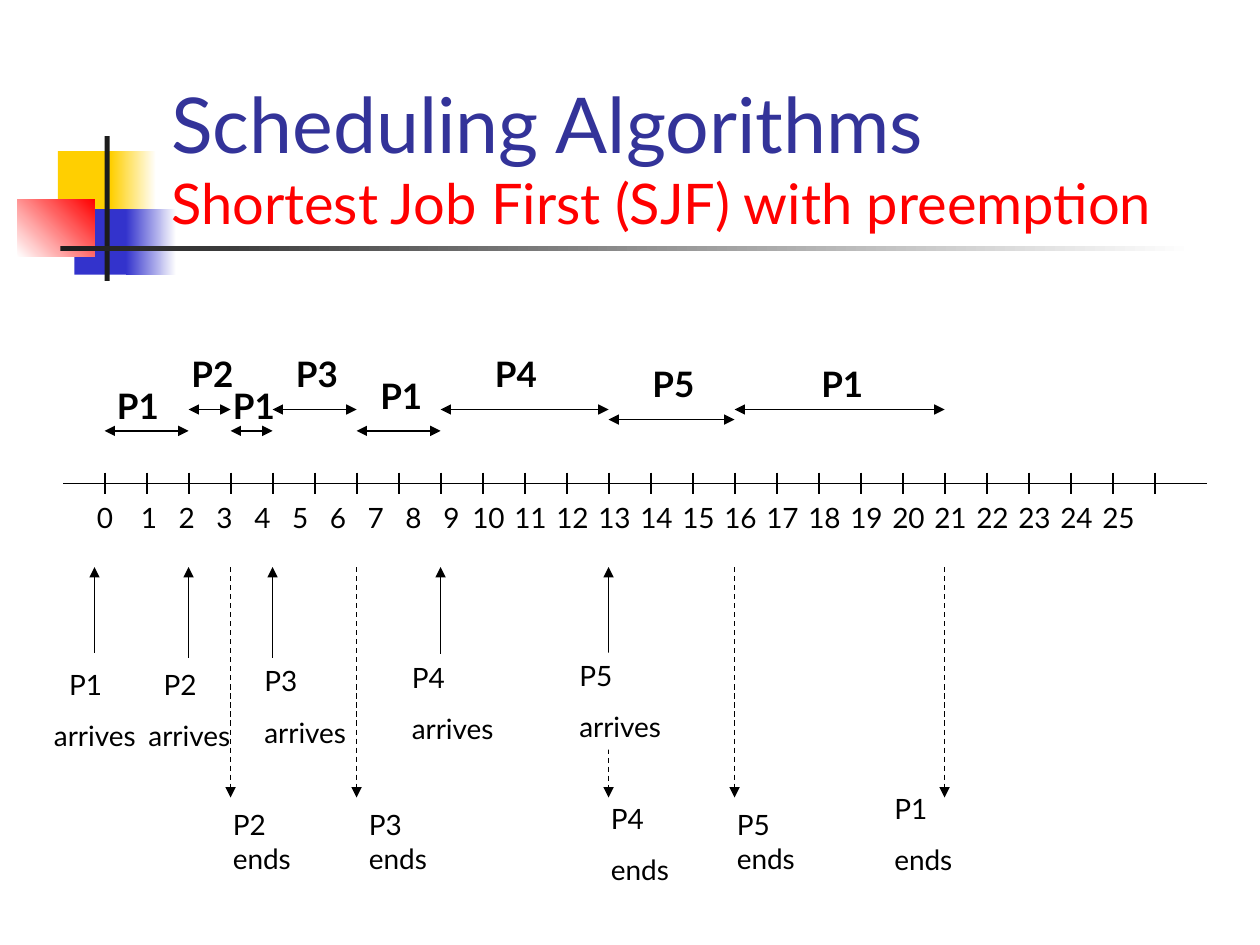
from lxml import etree
from pptx import Presentation
from pptx.dml.color import RGBColor
from pptx.enum.dml import MSO_LINE_DASH_STYLE as DASH
from pptx.enum.shapes import MSO_CONNECTOR as CONNECTOR, MSO_SHAPE as SHAPE
from pptx.enum.text import MSO_ANCHOR as ANCHOR
from pptx.oxml.ns import qn
from pptx.util import Inches, Pt

FONT = "Lato"
BLACK, WHITE = "000000", "FFFFFF"
YELLOW, BLUE, RED, DARK = "FFCF01", "3333CC", "FF0000", "1C1C1C"
TITLE_BLUE = "333399"
UNIT = 1 / 3


def color(value):
    return RGBColor.from_string(value)


def format_runs(paragraph, size, fill=BLACK, bold=False):
    for run in paragraph.runs:
        run.font.name = FONT
        run.font.size = Pt(size)
        run.font.bold = bold
        run.font.color.rgb = color(fill)


def add_text(slide, box, text, size, bold=False, space_before=10):
    shape = slide.shapes.add_textbox(*map(Inches, box))
    frame = shape.text_frame
    frame.word_wrap = True
    frame.text = text
    for paragraph in frame.paragraphs:
        paragraph.space_before = Pt(space_before)
        format_runs(paragraph, size, bold=bold)
    return shape


def add_line(slide, start, end, head=False, tail=False, dashed=False):
    points = map(Inches, (*start, *end))
    line = slide.shapes.add_connector(CONNECTOR.STRAIGHT, *points)
    line.line.color.rgb = color(BLACK)
    line.line.width = Pt(0.75)
    if dashed:
        line.line.dash_style = DASH.DASH
    outline = line.line._get_or_add_ln()
    for tag, wanted in (("a:headEnd", head), ("a:tailEnd", tail)):
        if wanted:
            etree.SubElement(outline, qn(tag), type="triangle")
    etree.SubElement(line._element.spPr, qn("a:effectLst"))


def add_block(slide, box, start, end=None, angle=0):
    shape = slide.shapes.add_shape(SHAPE.RECTANGLE, *map(Inches, box))
    shape.shadow.inherit = False
    shape.line.fill.background()
    if end is None:
        shape.fill.solid()
        shape.fill.fore_color.rgb = color(start)
        return
    shape.fill.gradient()
    shape.fill.gradient_angle = angle
    for stop, value in zip(shape.fill.gradient_stops, (start, end)):
        stop.color.rgb = color(value)


def add_ornament(slide, left, top, width):
    add_block(slide, (left + 0.32, top + 0.12, 0.48, 0.52), YELLOW)
    add_block(slide, (left + 0.74, top + 0.12, 0.36, 0.52), YELLOW, WHITE)
    add_block(slide, (left + 0.45, top + 0.58, 0.46, 0.52), BLUE)
    add_block(slide, (left + 0.86, top + 0.58, 0.4, 0.52), BLUE, WHITE)
    add_block(slide, (left, top + 0.5, 0.61, 0.46), WHITE, RED, 45)
    add_block(slide, (left + 0.69, top, 0.04, 1.15), DARK)
    add_block(slide, (left + 0.34, top + 0.87, width - 0.34, 0.04), DARK, WHITE)


def add_title(slide, box):
    shape = add_text(slide, box, "Scheduling Algorithms\vShortest Job First (SJF) with preemption",
                     44, space_before=0)
    shape.text_frame.vertical_anchor = ANCHOR.BOTTOM
    heading, subtitle = shape.text_frame.paragraphs[0].runs
    heading.font.color.rgb = color(TITLE_BLUE)
    subtitle.font.size = Pt(32)
    subtitle.font.color.rgb = color(RED)


def add_axis(slide, left, top, width, height):
    middle = top + height / 2
    add_line(slide, (left, middle), (left + width, middle))
    for tick in range(26):
        x = left + (tick + 1) * UNIT
        add_line(slide, (x, top), (x, top + height))
    numbers = add_text(slide, (left + 0.17, top + height, 8.83, 0.37),
                       "\t".join(map(str, range(26))), 16)
    properties = numbers.text_frame.paragraphs[0]._p.get_or_add_pPr()
    tabs = etree.SubElement(properties, qn("a:tabLst"))
    for number in range(1, 26):
        stop = 0.05 + 0.3 * number if number < 10 else 2.98 + (number - 10) * UNIT
        etree.SubElement(tabs, qn("a:tab"), pos=str(Inches(stop)), algn="l")


def add_bursts(slide, left, top):
    bursts = [
        ("P1", 0, 2, 0.67, 0, 0.25, 0.67),
        ("P2", 2, 3, 0.5, 0.59, 0, 0.58),
        ("P3", 4, 6, 0.5, 1.42, 0, 0.58),
        ("P4", 8, 12, 0.5, 3, 0, 0.58),
        ("P5", 12, 15, 0.58, 4.25, 0.08, 0.58),
        ("P1", 3, 4, 0.67, 0.92, 0.25, 0.67),
        ("P1", 6, 8, 0.67, 2.09, 0.17, 0.67),
        ("P1", 15, 20, 0.5, 5.59, 0.08, 0.67),
    ]
    for name, start, end, arrow_y, label_x, label_y, width in bursts:
        y = top + arrow_y
        add_line(slide, (left + start * UNIT, y), (left + end * UNIT, y), head=True, tail=True)
        add_text(slide, (left + label_x, top + label_y, width, 0.44), name, 20,
                 bold=True, space_before=12.5)


def add_departures(slide, left, top):
    departures = [
        ("P1\nends", 20, 0, 6.17, 1.73, 0.67, 1.04),
        ("P2 ends", 3, 0, 0.92, 1.86, 0.83, 0.64),
        ("P3 ends", 6, 0, 2, 1.86, 0.67, 0.9),
        ("P4\nends", 12, 0.08, 3.92, 1.81, 0.75, 0.77),
        ("P5 ends", 15, 0, 4.92, 1.86, 0.83, 0.64),
    ]
    for text, tick, start, label_x, label_y, width, height in departures:
        x = left + tick * UNIT
        add_line(slide, (x, top + start), (x, top + 1.83), tail=True, dashed=True)
        add_text(slide, (left + label_x, top + label_y, width, height), text, 16)


def add_arrivals(slide, left, top):
    arrivals = [
        ("P1", -0.08, 0.68, -0.5, 0.75, 1.08, 0.12),
        ("P2", 2 * UNIT, 0.72, 0.25, 0.75, 0.92, 0.12),
        ("P3", 4 * UNIT, 0.72, 1.17, 0.72, 1.25, 0),
        ("P4", 8 * UNIT, 0.69, 2.34, 0.69, 1.08, 0),
        ("P5", 12 * UNIT, 0.68, 3.67, 0.68, 1.17, 0),
    ]
    for name, arrow_x, length, label_x, label_y, width, indent in arrivals:
        x = left + arrow_x
        add_line(slide, (x, top + length), (x, top), tail=True)
        label = add_text(slide, (left + label_x, top + label_y, width, 0.77),
                         f"{name}\narrives", 16)
        if indent:
            properties = label.text_frame.paragraphs[0]._p.get_or_add_pPr()
            properties.set("marL", str(Inches(indent)))
    label.fill.solid()
    label.fill.fore_color.rgb = color(WHITE)


def main():
    presentation = Presentation()
    presentation.slide_width = Inches(10)
    presentation.slide_height = Inches(7.5)
    slide = presentation.slides.add_slide(presentation.slide_layouts[6])
    add_ornament(slide, 0.14, 1.08, 9.34)
    add_title(slide, (1.26, 0.67, 8.52, 1.25))
    add_axis(slide, 0.5, 3.75, 9.08, 0.17)
    add_departures(slide, 0.83, 4.5)
    add_bursts(slide, 0.83, 2.75)
    add_arrivals(slide, 0.83, 4.5)
    presentation.save("out.pptx")


if __name__ == "__main__":
    main()
